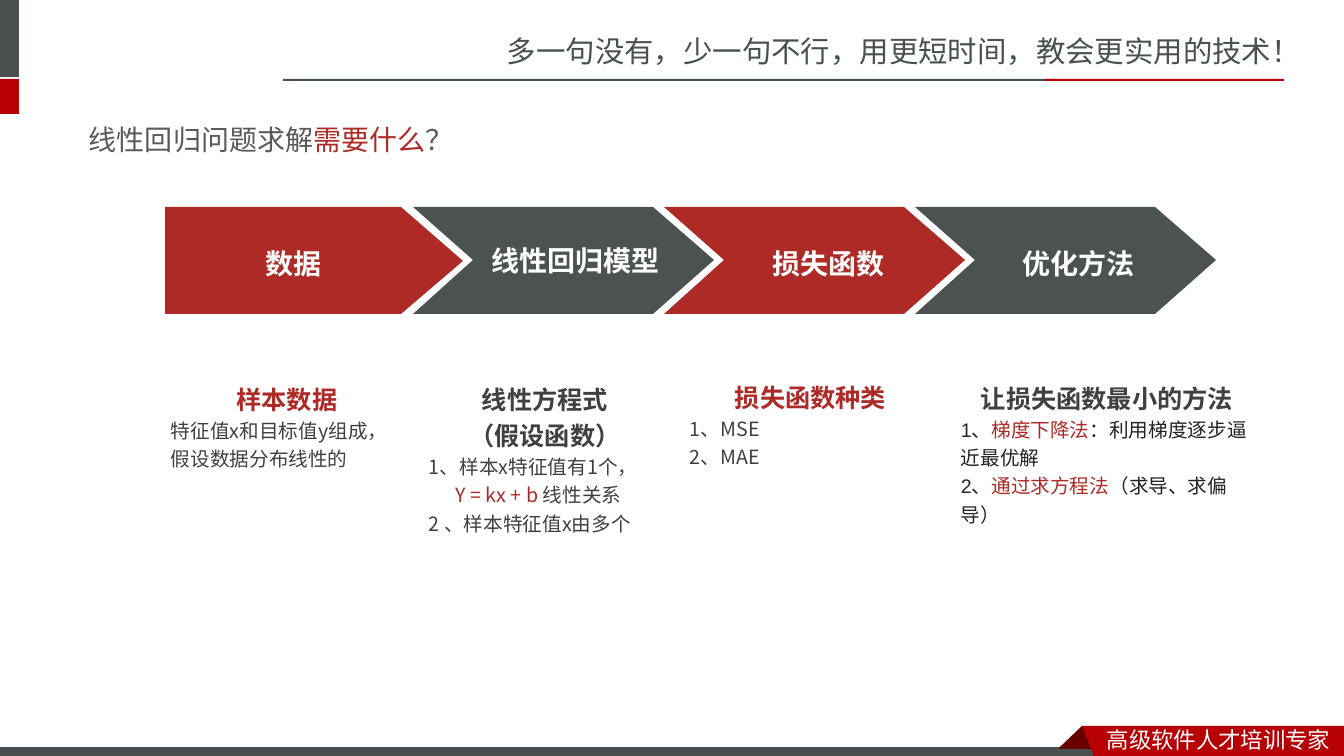
import pptx
import pptx.dml.color
import pptx.enum.shapes
import pptx.enum.text
import pptx.oxml.ns
import pptx.util
from lxml import etree

PX = 12192000 / 1344
RED, BRIGHT_RED, DARK_RED = "AD2A26", "B60004", "680000"
SLATE, GRAY, TEXT_GRAY, WHITE = "49504F", "4C5252", "404040", "FFFFFF"
SC, JP = "Noto Sans CJK SC", "Noto Sans CJK JP"
CENTER = pptx.enum.text.PP_ALIGN.CENTER
rgb = pptx.dml.color.RGBColor.from_string

presentation = pptx.Presentation()
presentation.slide_width = round(1344 * PX)
presentation.slide_height = round(756 * PX)
slide = presentation.slides.add_slide(presentation.slide_layouts[6])


def paint(shape, fill, line=None):
    shape.shadow.inherit = False
    shape.fill.solid()
    shape.fill.fore_color.rgb = rgb(fill)
    if line:
        shape.line.color.rgb = rgb(line)
        shape.line.width = pptx.util.Pt(0.75)
    else:
        shape.line.fill.background()


def add_text(text, box=None, frame=None, size=14, color=TEXT_GRAY, font=JP, bold=False,
             align=None, spacing=None, middle=False, indent=0):
    """Put one paragraph in a new box, or append it to a frame; text may be (text, color) pairs."""
    if frame is None:
        frame = slide.shapes.add_textbox(*[round(n * PX) for n in box]).text_frame
        frame.word_wrap = True
        if middle:
            frame.vertical_anchor = pptx.enum.text.MSO_ANCHOR.MIDDLE
        paragraph = frame.paragraphs[0]
    else:
        paragraph = frame.add_paragraph()
    paragraph.alignment = align
    paragraph.line_spacing = spacing
    if indent:
        paragraph._p.get_or_add_pPr().set("marL", str(round(indent * PX)))
    for piece, piece_color in [(text, color)] if isinstance(text, str) else text:
        run = paragraph.add_run()
        run.text = piece
        run.font.size = pptx.util.Pt(size)
        run.font.bold = bold
        run.font.name = font
        run.font.color.rgb = rgb(piece_color)
        east_asian = etree.SubElement(run._r.get_or_add_rPr(), pptx.oxml.ns.qn("a:ea"))
        east_asian.set("typeface", SC if font == "Arial" else font)
    return frame


# Header and footer bars
for left, top, width, height, fill, line in [
    (0, 0, 19, 77, SLATE, None),
    (0, 79, 19, 35, BRIGHT_RED, None),
    (283, 79, 774, 2, SLATE, None),
    (1045, 79, 239, 2, BRIGHT_RED, None),
    (-1, 747, 1109, 12, SLATE, WHITE),
]:
    bar = slide.shapes.add_shape(pptx.enum.shapes.MSO_SHAPE.RECTANGLE,
                                 *[round(n * PX) for n in (left, top, width, height)])
    paint(bar, fill, line)

# Footer ribbon and process arrows
outlines = [
    (DARK_RED, [(1082, 726), (1104, 748), (1103, 749), (1060, 749), (1059, 748)]),
    (BRIGHT_RED, [(1082, 726), (1344, 726), (1344, 760), (1095, 759)]),
    (RED, [(165, 207), (401, 207), (463, 261), (401, 314), (165, 314)]),
]
for step, fill in enumerate([GRAY, RED, GRAY]):
    left = 413 + 251 * step
    outlines.append((fill, [(left, 207), (left + 240, 207), (left + 301, 260),
                            (left + 240, 314), (left, 314), (left + 60, 260)]))
for fill, points in outlines:
    builder = slide.shapes.build_freeform(*points[0], scale=PX)
    builder.add_line_segments(points[1:], close=True)
    paint(builder.convert_to_shape(), fill)

add_text("多一句没有，少一句不行，用更短时间，教会更实用的技术！", (497, 28, 848, 47),
         size=21, color=SLATE, font=SC)
add_text("高级软件人才培训专家", (1097, 721, 247, 37), size=16, color=WHITE, font=SC)
add_text([("线性回归问题求解", "595959"), ("需要什么", RED), ("？", "595959")],
         (79, 111, 1185, 57), size=20, font="Arial", middle=True)

for label, box, spacing in [
    ("数据", (163, 236, 261, 48), 1.2),
    ("线性回归模型", (449, 238, 254, 44), None),
    ("损失函数", (703, 236, 251, 48), 1.2),
    ("优化方法", (952, 236, 254, 48), 1.2),
]:
    frame = add_text(label, box, size=20, color=WHITE, bold=True, align=CENTER,
                     spacing=spacing, middle=True)
    frame.auto_size = pptx.enum.text.MSO_AUTO_SIZE.SHAPE_TO_FIT_TEXT

# Explanations: box, heading colour, heading lines, body font, body lines with indent
columns = [
    ((161, 373, 252, 102), RED, ["样本数据"], JP,
     [("特征值x和目标值y组成，", 0), ("假设数据分布线性的", 0)]),
    ((419, 373, 252, 200), TEXT_GRAY, ["线性方程式", "（假设函数）"], JP,
     [("1、样本x特征值有1个，", 0),
      ([("Y = kx + b ", RED), ("线性关系", TEXT_GRAY)], 27),
      ("2 、样本特征值x由多个", 0)]),
    ((680, 371, 261, 131), RED, ["损失函数种类"], JP, [("1、MSE", 0), ("2、MAE", 0)]),
    ((951, 372, 312, 130), TEXT_GRAY, ["让损失函数最小的方法"], "Arial",
     [([("1、", "222222"), ("梯度下降法", RED), ("：利用梯度逐步逼近最优解", "222222")], 0),
      ([("2、", "222222"), ("通过求方程法", RED), ("（求导、求偏导）", "222222")], 0)]),
]
for box, heading_color, headings, body_font, body in columns:
    frame = None
    for heading in headings:
        frame = add_text(heading, box, frame, size=18, color=heading_color, bold=True,
                         align=CENTER, spacing=1.2)
    for line, indent in body:
        add_text(line, frame=frame, font=body_font, spacing=1.2, indent=indent)

presentation.save("out.pptx")
